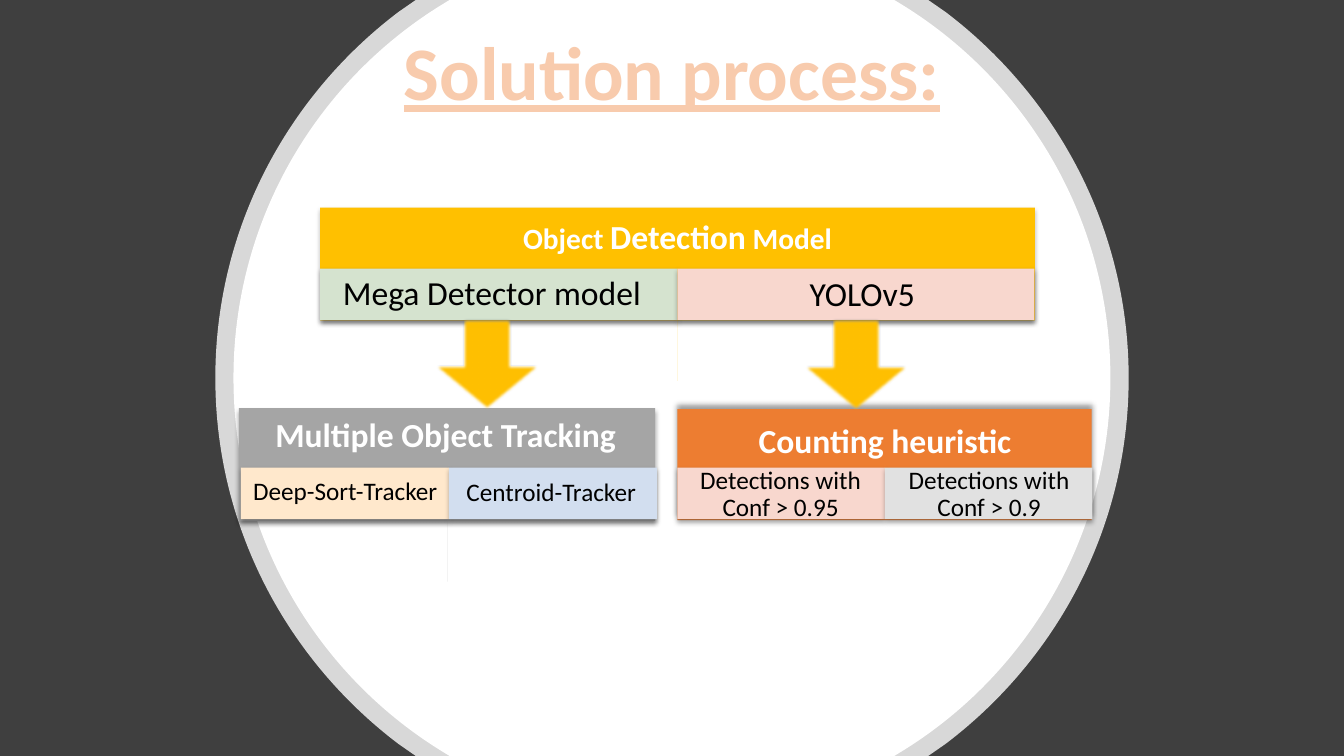
from lxml.etree import SubElement
from pptx import Presentation
from pptx.dml.color import RGBColor
from pptx.enum.shapes import MSO_SHAPE
from pptx.enum.text import MSO_ANCHOR, MSO_AUTO_SIZE, PP_ALIGN
from pptx.oxml.ns import qn
from pptx.util import Pt

# Content: text runs as (text, size)
FONT = "Calibri"
WIDE, HIGH = 960, 540
TITLE = ("Solution process:", 54)

# Discs: opacity and the upper right quarter, measured from the slide centre:
# edge point, corner point, two curve handles, rightmost point
DISCS = [
    (80, [(183, -270), (195.4, -261.4), (274.3, -201.6), (326.2, -107.3), (326.2, 0)]),
    (100, [(158.8, -270), (162.4, -267.8), (252.7, -213.1), (313.2, -113.8), (313.2, 0)]),
]

# Stage backs: kind, box, fill, adjustments, shadow (blur, distance, angle, opacity)
SOFT = (3.5, 2.2, 90, 32)
UP = (4, 3, 270, 40)
CALL, RECT = MSO_SHAPE.UP_ARROW_CALLOUT, MSO_SHAPE.RECTANGLE
STAGES = [
    {"back": (CALL, (228.7, 148.3, 510.5, 123.8), "FFC000", (0.25, 0, 0.25, 0.65), SOFT),
     "head": ([("Object ", 21), ("Detection", 24), (" Model", 21)],
              (228.7, 148.8, 510.5, 43.2), 11.5),
     "cells": (228.7, 191.8, 255.1, 24),
     "parts": [("Mega Detector model", "D5E3CF", (226.8, 192, 249.1, 36.7)),
               ("YOLOv5", "F8D7CE", (492.8, 192.6, 246.2, 36.7))]},
    {"back": (CALL, (170.6, 291.6, 297.4, 123.8), "A5A5A5", (0, 0, 0.25, 0.65), SOFT),
     "head": ([("Multiple Object Tracking", 24)], (178, 292, 280.8, 36), None),
     "cells": (172.1, 334.1, 148.6, 18),
     "parts": [("Deep-Sort-Tracker", "FFE8CC", (164.5, 334.1, 164.2, 34.6)),
               ("Centroid-Tracker", "D2DEEF", (318.5, 333.7, 150.5, 36.7))]},
    {"back": (RECT, (483.8, 292.3, 295.9, 79.2), "ED7D31", (), UP),
     "head": ([("Counting heuristic", 24)], (522.3, 296.3, 219.6, 36), None),
     "cells": (483.8, 334.1, 148.3, 18),
     "parts": [("Detections with Conf > 0.95", "F8D7CE", (483.1, 338.2, 149, 31)),
               ("Detections with Conf > 0.9", "E1E1E1", (633.1, 338.2, 146.9, 31))]},
]
CELL_H = 36.7
ARROWS = [(307.9, 227.7), (571.5, 228.4)]

# Slide
deck = Presentation()
deck.slide_width, deck.slide_height = Pt(WIDE), Pt(HIGH)
slide = deck.slides.add_slide(deck.slide_layouts[6])
shapes = slide.shapes


def color(code):
    return RGBColor.from_string(code)


def paint(fill, code, alpha=100):
    fill.solid()
    fill.fore_color.rgb = color(code)
    if alpha < 100:
        tint = fill._xPr.find(qn("a:solidFill"))[0]
        SubElement(tint, qn("a:alpha"), val=str(alpha * 1000))


def effects(shape):
    """Return the empty effect list of a shape."""
    shape.shadow.inherit = False
    return shape._element.spPr.find(qn("a:effectLst"))


def shade(shape, blur, dist, angle, alpha):
    node = SubElement(effects(shape), qn("a:outerShdw"), blurRad=str(Pt(blur)),
                      dist=str(Pt(dist)), dir=str(angle * 60000), rotWithShape="0")
    tone = SubElement(node, qn("a:srgbClr"), val="000000")
    SubElement(tone, qn("a:alpha"), val=str(alpha * 1000))


def block(kind, box, code, adjust=()):
    shape = shapes.add_shape(kind, *map(Pt, box))
    paint(shape.fill, code)
    shape.line.fill.background()
    for i, part in enumerate(adjust):
        shape.adjustments[i] = part
    return shape


def label(runs, box, code, bold=False, side=None):
    """Add centred text; a side inset also centres it vertically."""
    shape = shapes.add_textbox(*map(Pt, box))
    frame = shape.text_frame
    frame.word_wrap = True
    para = frame.paragraphs[0]
    para.alignment = PP_ALIGN.CENTER
    if side is None:
        frame.auto_size = MSO_AUTO_SIZE.SHAPE_TO_FIT_TEXT
    else:
        edge = 2.9 if side > 12 else side
        frame.margin_left = frame.margin_right = Pt(side)
        frame.margin_top = frame.margin_bottom = Pt(edge)
        frame.vertical_anchor = MSO_ANCHOR.MIDDLE
        para.line_spacing = 0.9
    for text, size in runs:
        run = para.add_run()
        run.text = text
        run.font.name, run.font.size, run.font.bold = FONT, Pt(size), bold
        run.font.color.rgb = color(code)
    return para


def disc(alpha, arc):
    """Mirror a quarter outline into a disc cut off at top and bottom."""
    right = arc + [(x, -y) for x, y in reversed(arc[:-1])]
    ring = right + [(-x, y) for x, y in reversed(right)]
    dots = [(Pt(WIDE / 2 + x), Pt(HIGH / 2 + y)) for x, y in ring]
    pen = shapes.build_freeform(*dots[0])
    pen.add_line_segments(dots[1:], close=True)
    shape = pen.convert_to_shape()
    # Turn each handle, handle, end triple into one curve
    lines = list(shape._element.iter(qn("a:lnTo")))
    for first in (1, 4, 10, 13):
        curve = lines[first]
        curve.tag = qn("a:cubicBezTo")
        for line in lines[first + 1:first + 3]:
            curve.append(line[0])
            line.getparent().remove(line)
    paint(shape.fill, "FFFFFF", alpha)
    shape.line.fill.background()
    shape.shadow.inherit = False


# Background and title
paint(slide.background.fill, "3F3F3F")
for alpha, arc in DISCS:
    disc(alpha, arc)
title = label([TITLE], (226.8, 14.4, 506.2, 72.7), "F8CBAD", True).runs[0]
title.font.underline = True
edge = SubElement(title.font._element, qn("a:ln"), w=str(Pt(1.75)))
SubElement(SubElement(edge, qn("a:solidFill")), qn("a:srgbClr"), val="ED7D31")
title.font._element.insert(0, edge)

# Stages
for stage in STAGES:
    kind, box, code, adjust, glow = stage["back"]
    back = block(kind, box, code, adjust)
    shade(back, *glow)
    if kind == CALL:
        back.rotation = 180
    runs, box, side = stage["head"]
    label(runs, box, "FFFFFF", True, side)
    left, top, width, size = stage["cells"]
    for i, (text, code, box) in enumerate(stage["parts"]):
        cell = block(RECT, (left + i * width, top, width, CELL_H), code)
        shade(cell, *SOFT)
    for text, code, box in stage["parts"]:
        label([(text, size)], box, "000000", side=14.4)

# Arrows
for left, top in ARROWS:
    arrow = block(MSO_SHAPE.DOWN_ARROW, (left, top, 79.9, 65.5), "FFC000", (0.43, 0.5))
    paint(arrow.line.fill, "325491")
    arrow.line.width = Pt(1)
    SubElement(effects(arrow), qn("a:softEdge"), rad=str(Pt(2)))

deck.save("out.pptx")
